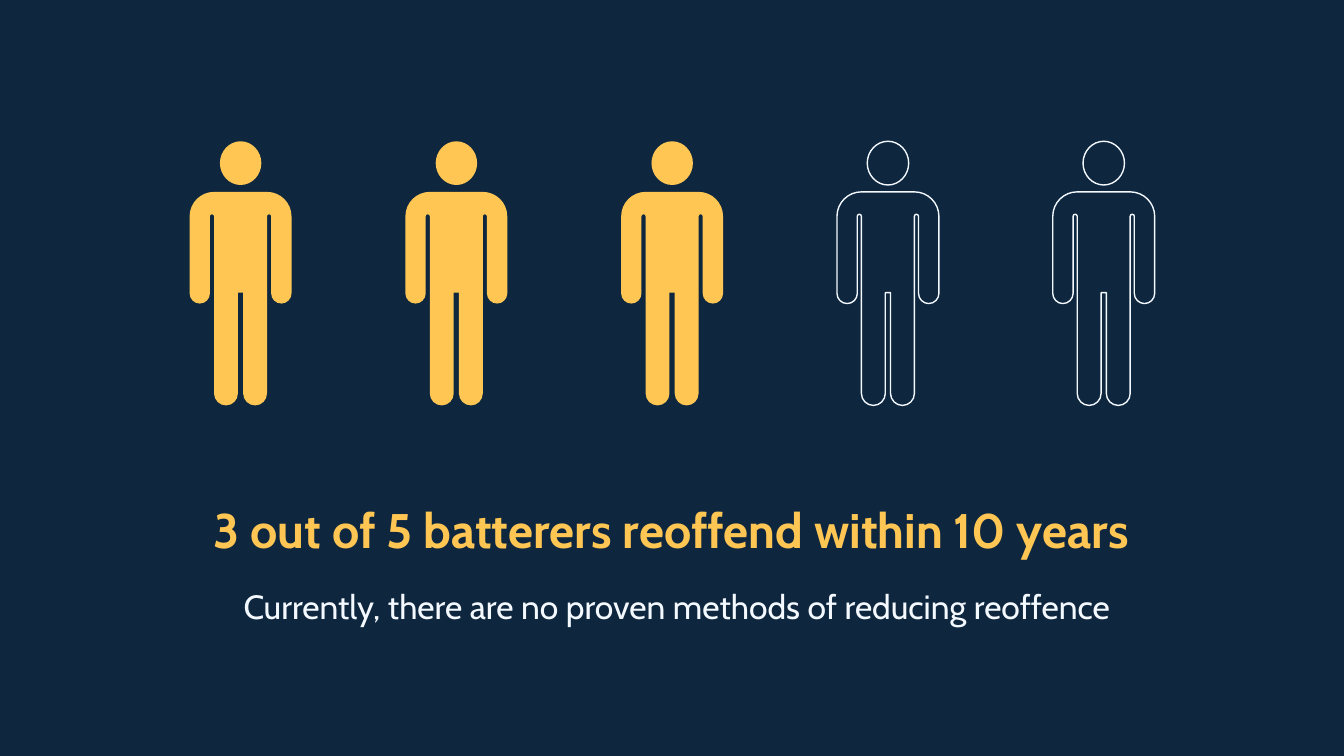
from dataclasses import dataclass
from math import cos, radians, sin

from pptx import Presentation
from pptx.dml.color import RGBColor
from pptx.enum.text import MSO_ANCHOR as Anchor, MSO_AUTO_SIZE as AutoSize, PP_ALIGN as Align
from pptx.oxml.xmlchemy import OxmlElement
from pptx.shapes.base import BaseShape
from pptx.shapes.group import GroupShape
from pptx.slide import Slide
from pptx.util import Pt

COLORS = {"navy": "0E273E", "yellow": "FFC654", "white": "F4F9FF"}
FONT = "Cabin"
CURVE_RATIO = 0.55

PEOPLE = 5
REOFFENDERS = 3
CENTER_X = 360.1
SPACING = 115.6
HEAD_CENTER_Y, HEAD_RADIUS_X, HEAD_RADIUS_Y = 87.4, 11.1, 11.7
BODY_TOP = 102.8

Point = tuple[float, float]
Segment = list[Point]


@dataclass(frozen=True)
class Caption:
    text: str
    left: float
    top: float
    width: float
    height: float
    size: float
    color: str
    bold: bool
    anchor: Anchor


@dataclass(frozen=True)
class Outline:
    start: Point
    segments: list[Segment]


HEADLINE = Caption("3 out of 5 batterers reoffend within 10 years",
                   80.2, 265, 559.4, 41, 26, "yellow", True, Anchor.BOTTOM)
DETAIL = Caption("Currently, there are no proven methods of reducing reoffence ",
                 105.4, 303.4, 518.4, 51.8, 18, "white", False, Anchor.TOP)


def color(name: str) -> RGBColor:
    return RGBColor.from_string(COLORS[name])


def arc(x: float, y: float, radius_x: float, radius_y: float,
        start: int, quarters: int) -> list[Segment]:
    turn = 90 if quarters > 0 else -90
    curves = []
    for quarter in range(abs(quarters)):
        first = radians(start + turn * quarter)
        last = first + radians(turn)
        (ax, ay), (bx, by) = (cos(first), sin(first)), (cos(last), sin(last))
        unit = [(ax + CURVE_RATIO * bx, ay + CURVE_RATIO * by),
                (bx + CURVE_RATIO * ax, by + CURVE_RATIO * ay), (bx, by)]
        curves.append([(x + radius_x * u, y + radius_y * v) for u, v in unit])
    return curves


def body_outline() -> Outline:
    start = (14.2, 0)
    right = [
        *arc(14.2, 13.1, 13.1, 13.1, -90, 1),
        [(27.3, 54.4)],
        *arc(21.85, 54.4, 5.45, 5.45, 0, 2),
        [(16.4, 13.1)],
        *arc(15.3, 13.1, 1.1, 1.1, 0, -2),
        [(14.2, 108)],
        *arc(7.8, 108, 6.4, 6.4, 0, 2),
        [(1.4, 54)],
    ]
    ends = [start] + [segment[-1] for segment in right]
    left = [[(-x, y) for x, y in reversed([end] + segment[:-1])]
            for end, segment in zip(ends, right)]
    return Outline(start, right + [[(-1.4, 54)]] + left[::-1])


def head_outline() -> Outline:
    return Outline((0, -HEAD_RADIUS_Y), arc(0, 0, HEAD_RADIUS_X, HEAD_RADIUS_Y, -90, 4))


def draw_outline(group: GroupShape, outline: Outline, x: float, y: float) -> BaseShape:
    def place(point: Point) -> Point:
        return Pt(x + point[0]), Pt(y + point[1])

    builder = group.shapes.build_freeform(*place(outline.start))
    builder.add_line_segments([place(point) for segment in outline.segments for point in segment])
    shape = builder.convert_to_shape()
    nodes = iter(shape.element.xpath(".//a:lnTo"))
    for segment in outline.segments:
        members = [next(nodes) for _ in segment]
        if len(members) == 3:
            curve = OxmlElement("a:cubicBezTo")
            members[0].addprevious(curve)
            for member in members:
                curve.append(member[0])
                member.getparent().remove(member)
    return shape


def paint(shape: BaseShape, filled: bool) -> None:
    shape.shadow.inherit = False
    if filled:
        shape.fill.solid()
        shape.fill.fore_color.rgb = color("yellow")
        shape.line.fill.background()
    else:
        shape.fill.background()
        shape.line.color.rgb = color("white")
        shape.line.width = Pt(0.75)


def draw_person(slide: Slide, center: float, filled: bool) -> None:
    person = slide.shapes.add_group_shape()
    paint(draw_outline(person, body_outline(), center, BODY_TOP), filled)
    paint(draw_outline(person, head_outline(), center, HEAD_CENTER_Y), filled)


def write_caption(box: BaseShape, caption: Caption) -> None:
    box.left, box.top = Pt(caption.left), Pt(caption.top)
    box.width, box.height = Pt(caption.width), Pt(caption.height)
    frame = box.text_frame
    frame.word_wrap = True
    frame.auto_size = AutoSize.NONE
    frame.vertical_anchor = caption.anchor
    frame.margin_left = frame.margin_right = Pt(7.2)
    frame.margin_top = frame.margin_bottom = Pt(7.2)
    para = frame.paragraphs[0]
    para.alignment = Align.CENTER
    para.line_spacing = 1.15
    para.space_before = Pt(0)
    span = para.add_run()
    span.text = caption.text
    span.font.name = FONT
    span.font.size = Pt(caption.size)
    span.font.bold = caption.bold
    span.font.color.rgb = color(caption.color)


def main() -> None:
    deck = Presentation()
    deck.slide_width, deck.slide_height = Pt(720), Pt(405)
    page = deck.slides.add_slide(deck.slide_layouts[5])
    page.background.fill.solid()
    page.background.fill.fore_color.rgb = color("navy")

    write_caption(page.shapes.title, HEADLINE)
    write_caption(page.shapes.add_textbox(0, 0, 0, 0), DETAIL)
    for index in range(PEOPLE):
        center = CENTER_X + (index - (PEOPLE - 1) / 2) * SPACING
        draw_person(page, center, filled=index < REOFFENDERS)

    deck.save("out.pptx")


if __name__ == "__main__":
    main()
